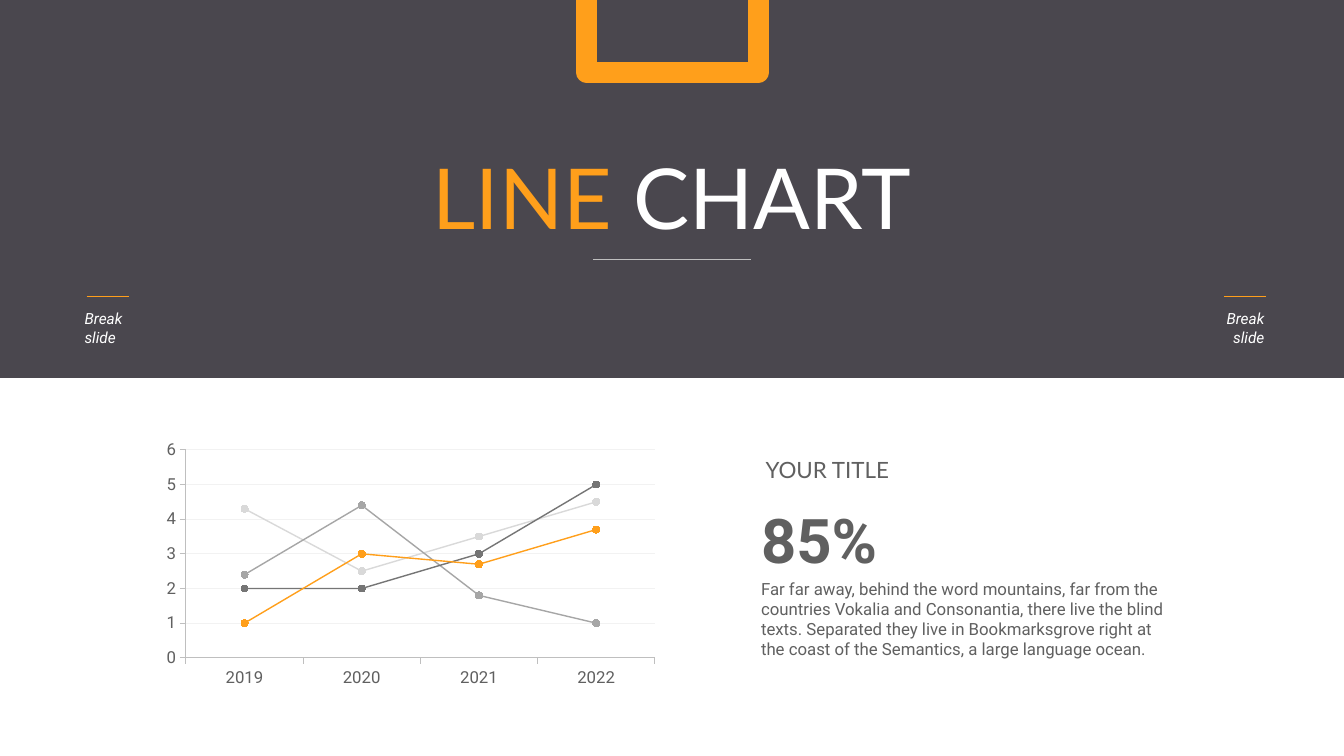
from dataclasses import dataclass

from lxml import etree
from pptx import Presentation
from pptx.chart.data import CategoryChartData
from pptx.dml.color import RGBColor
from pptx.enum.chart import XL_CHART_TYPE as ChartType, XL_MARKER_STYLE as Marker, XL_TICK_MARK as Tick
from pptx.enum.shapes import MSO_CONNECTOR as Connector, MSO_SHAPE as Shape
from pptx.enum.text import MSO_ANCHOR as Anchor, MSO_AUTO_SIZE as AutoSize, PP_ALIGN as Align
from pptx.oxml import parse_xml
from pptx.oxml.ns import nsdecls, qn
from pptx.util import Inches, Pt


@dataclass(frozen=True)
class Theme:
    heading: str = "Lato"
    body: str = "Roboto"
    band: str = "37333B"
    accent: str = "FF9F1B"
    white: str = "FFFFFF"
    text: str = "606060"
    axis: str = "BFBFBF"
    grid: str = "F2F2F2"
    series: tuple = ("D9D9D9", "A6A6A6", "757575", "FF9F1B")
    title_size: int = 60
    figure_size: int = 44
    subtitle_size: int = 16
    body_size: int = 12
    note_size: int = 11


@dataclass(frozen=True)
class Box:
    left: float
    top: float
    width: float
    height: float

    def inner(self, left, top, width, height):
        return Box(self.left + left, self.top + top, width, height)

    def lengths(self):
        return [Inches(value) for value in (self.left, self.top, self.width, self.height)]


THEME = Theme()
YEARS = ("2019", "2020", "2021", "2022")
VALUES = ((4.3, 2.5, 3.5, 4.5), (2.4, 4.4, 1.8, 1), (2, 2, 3, 5), (1, 3, 2.7, 3.7))
STORY = (
    "Far far away, behind the word mountains, far from the countries Vokalia and Consonantia, "
    "there live the blind texts. Separated they live in Bookmarksgrove right at the coast of "
    "the Semantics, a large language ocean."
)


def style_font(font, name, size, color):
    font.name = name
    font.size = Pt(size)
    font.color.rgb = RGBColor.from_string(color)


def style_line(line, color, width):
    line.color.rgb = RGBColor.from_string(color)
    line.width = Pt(width)


def write(frame, spans, name, size, align=Align.LEFT, wrap=False, bold=False, italic=False):
    frame.word_wrap = wrap
    frame.auto_size = AutoSize.NONE
    frame.vertical_anchor = Anchor.TOP
    para = frame.paragraphs[0]
    para.alignment = align
    for text, color in spans:
        span = para.add_run()
        span.text = text
        style_font(span.font, name, size, color)
        span.font.bold = bold
        span.font.italic = italic


def add_text(page, box, text, color, name, size, **options):
    frame = page.shapes.add_textbox(*box.lengths()).text_frame
    write(frame, [(text, color)], name, size, **options)


def add_rule(page, box, color):
    left, top, width, height = box.lengths()
    rule = page.shapes.add_connector(Connector.STRAIGHT, left, top, left + width, top + height)
    style_line(rule.line, color, 0.5)
    etree.SubElement(rule._element.spPr, qn("a:effectLst"))


def add_band(page, box):
    band = page.shapes.add_shape(Shape.RECTANGLE, *box.lengths())
    band.shadow.inherit = False
    band.line.fill.background()
    band.fill.solid()
    band.fill.fore_color.rgb = RGBColor.from_string(THEME.band)
    color = band._element.spPr.find(qn("a:solidFill"))[0]
    etree.SubElement(color, qn("a:alpha")).set("val", "90000")


def add_frame(page, box):
    frame = page.shapes.add_shape(Shape.RECTANGLE, *box.lengths())
    frame.shadow.inherit = False
    frame.fill.background()
    style_line(frame.line, THEME.accent, 15)


def add_note(page, box, align):
    rule_left = 0.12 if align == Align.LEFT else box.width - 0.5
    add_rule(page, box.inner(rule_left, 0, 0.42, 0), THEME.accent)
    add_text(page, box.inner(0, 0.08, box.width, 0.48), "Break slide", THEME.white,
             THEME.body, THEME.note_size, align=align, wrap=True, italic=True)


def add_header(page, box):
    add_band(page, box)
    add_frame(page, box.inner(5.82, -0.98, 1.7, 1.7))
    add_note(page, box.inner(0.74, 2.94, 0.8, 0.56), Align.LEFT)
    add_note(page, box.inner(11.84, 2.94, 0.8, 0.56), Align.RIGHT)
    title = page.shapes.title
    title.left, title.top, title.width, title.height = box.inner(4.12, 1.39, 5.09, 1.11).lengths()
    write(title.text_frame, [("LINE", THEME.accent), (" CHART", THEME.white)],
          THEME.heading, THEME.title_size, align=Align.CENTER)
    page.shapes._spTree.append(title._element)
    add_rule(page, box.inner(5.88, 2.57, 1.57, 0), THEME.axis)


def set_plot_area(chart, left, top, width, height):
    area = chart._chartSpace.chart.plotArea
    for old in area.findall(qn("c:layout")):
        area.remove(old)
    places = "".join(f'<c:{key} val="{value}"/>' for key, value in
                     (("x", left), ("y", top), ("w", width), ("h", height)))
    area.insert(0, parse_xml(
        f'<c:layout {nsdecls("c")}><c:manualLayout><c:layoutTarget val="inner"/>'
        f'<c:xMode val="edge"/><c:yMode val="edge"/>{places}</c:manualLayout></c:layout>'))


def add_line_chart(page, box):
    data = CategoryChartData()
    data.categories = YEARS
    for number, values in enumerate(VALUES, 1):
        data.add_series(f"Series {number}", values)
    chart = page.shapes.add_chart(ChartType.LINE_MARKERS, *box.lengths(), data).chart
    chart.has_legend = False
    chart.has_title = False
    style_font(chart.font, THEME.body, THEME.body_size, THEME.text)
    chart.plots[0].vary_by_categories = False
    set_plot_area(chart, 0.049, 0.062, 0.934, 0.831)

    for axis in (chart.category_axis, chart.value_axis):
        axis.major_tick_mark = Tick.OUTSIDE
        axis.minor_tick_mark = Tick.NONE
        style_font(axis.tick_labels.font, THEME.body, THEME.body_size, THEME.text)
        style_line(axis.format.line, THEME.axis, 0.75)
    scale = chart.value_axis
    scale.minimum_scale, scale.maximum_scale, scale.major_unit = 0, 6, 1
    scale.has_major_gridlines = True
    style_line(scale.major_gridlines.format.line, THEME.grid, 0.75)

    for series, color in zip(chart.plots[0].series, THEME.series):
        series.smooth = False
        style_line(series.format.line, color, 1)
        series.marker.style = Marker.CIRCLE
        series.marker.size = 5
        series.marker.format.fill.solid()
        series.marker.format.fill.fore_color.rgb = RGBColor.from_string(color)
        style_line(series.marker.format.line, color, 0.75)


def add_summary(page, box):
    add_text(page, box.inner(0, 0, 1.51, 0.37), "YOUR TITLE", THEME.text,
             THEME.heading, THEME.subtitle_size, align=Align.CENTER)
    add_text(page, box.inner(0, 0.45, 1.37, 0.84), "85%", THEME.text,
             THEME.body, THEME.figure_size, bold=True)
    add_text(page, box.inner(0, 1.21, box.width, 0.91), STORY, THEME.text,
             THEME.body, THEME.body_size, wrap=True)


def main():
    deck = Presentation()
    deck.slide_width, deck.slide_height = Inches(13.33), Inches(7.5)
    page = deck.slides.add_slide(deck.slide_layouts[5])
    add_header(page, Box(0, 0, 13.33, 3.75))
    add_line_chart(page, Box(1.6, 4.31, 4.98, 2.51))
    add_summary(page, Box(7.45, 4.48, 4.26, 2.12))
    deck.save("out.pptx")


if __name__ == "__main__":
    main()
